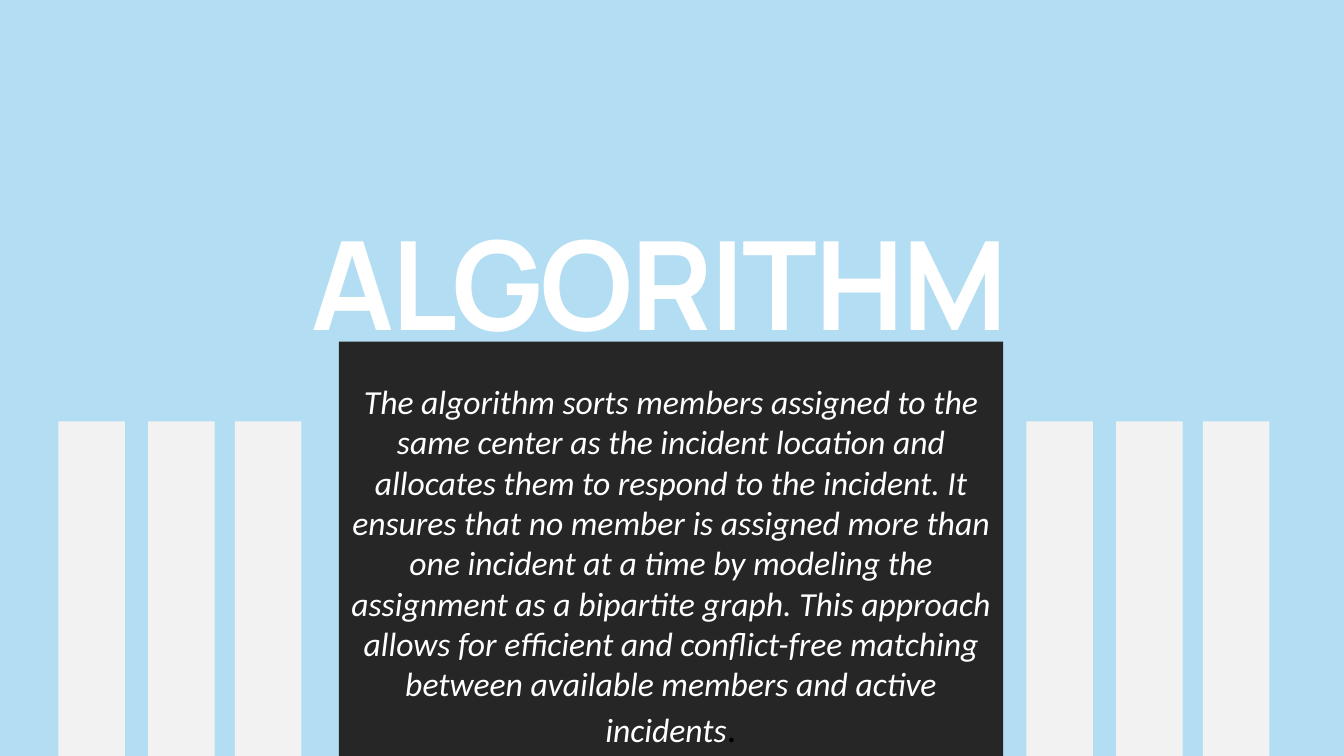
"""Build the algorithm slide: a headline over a dark text panel between light columns."""
from pptx import Presentation
from pptx.dml.color import RGBColor
from pptx.enum.shapes import MSO_SHAPE
from pptx.enum.text import MSO_ANCHOR, MSO_AUTO_SIZE, PP_ALIGN
from pptx.util import Inches, Pt


def add_block(slide, left, top, width, height, color):
    shape = slide.shapes.add_shape(
        MSO_SHAPE.RECTANGLE, Inches(left), Inches(top), Inches(width), Inches(height))
    shape.shadow.inherit = False
    shape.fill.solid()
    shape.fill.fore_color.rgb = RGBColor.from_string(color)
    shape.line.fill.background()
    return shape


def add_run(paragraph, text, font_name, size, color, bold=False, italic=False):
    run = paragraph.add_run()
    run.text = text
    run.font.name = font_name
    run.font.size = Pt(size)
    run.font.bold = bold
    run.font.italic = italic
    run.font.color.rgb = RGBColor.from_string(color)
    return run


presentation = Presentation()
presentation.slide_width = Inches(13.33)
presentation.slide_height = Inches(7.5)
slide = presentation.slides.add_slide(presentation.slide_layouts[5])
slide.background.fill.solid()
slide.background.fill.fore_color.rgb = RGBColor.from_string("B3DDF2")

title = slide.shapes.title
title.left, title.top = Inches(2.72), Inches(2.01)
title.width, title.height = Inches(7.64), Inches(1.58)
title.text_frame.auto_size = MSO_AUTO_SIZE.NONE
title.text_frame.vertical_anchor = MSO_ANCHOR.TOP
title_paragraph = title.text_frame.paragraphs[0]
title_paragraph.alignment = PP_ALIGN.CENTER
title_run = add_run(title_paragraph, "ALGORITHM", "Manrope", 88, "FFFFFF", bold=True)
title_run.font._element.set("spc", "-150")

panel = add_block(slide, 3.36, 3.39, 6.59, 4.14, "262626")
frame = panel.text_frame
frame.word_wrap = True
frame.vertical_anchor = MSO_ANCHOR.TOP
frame.margin_top = Inches(0.39)
paragraph = frame.paragraphs[0]
paragraph.alignment = PP_ALIGN.CENTER
add_run(
    paragraph,
    "The algorithm sorts members assigned to the same center as the incident location "
    "and allocates them to respond to the incident. It ensures that no member is assigned "
    "more than one incident at a time by modeling the assignment as a bipartite graph. "
    "This approach allows for efficient and conflict-free matching between available "
    "members and active incidents",
    "Calibri", 24, "FFFFFF", italic=True)
add_run(paragraph, ".", "Calibri", 28, "000000")

for group_left in (0.58, 10.18):
    for offset in (0, 0.89, 1.75):
        add_block(slide, group_left + offset, 4.18, 0.66, 3.32, "F2F2F2")

presentation.save("out.pptx")
